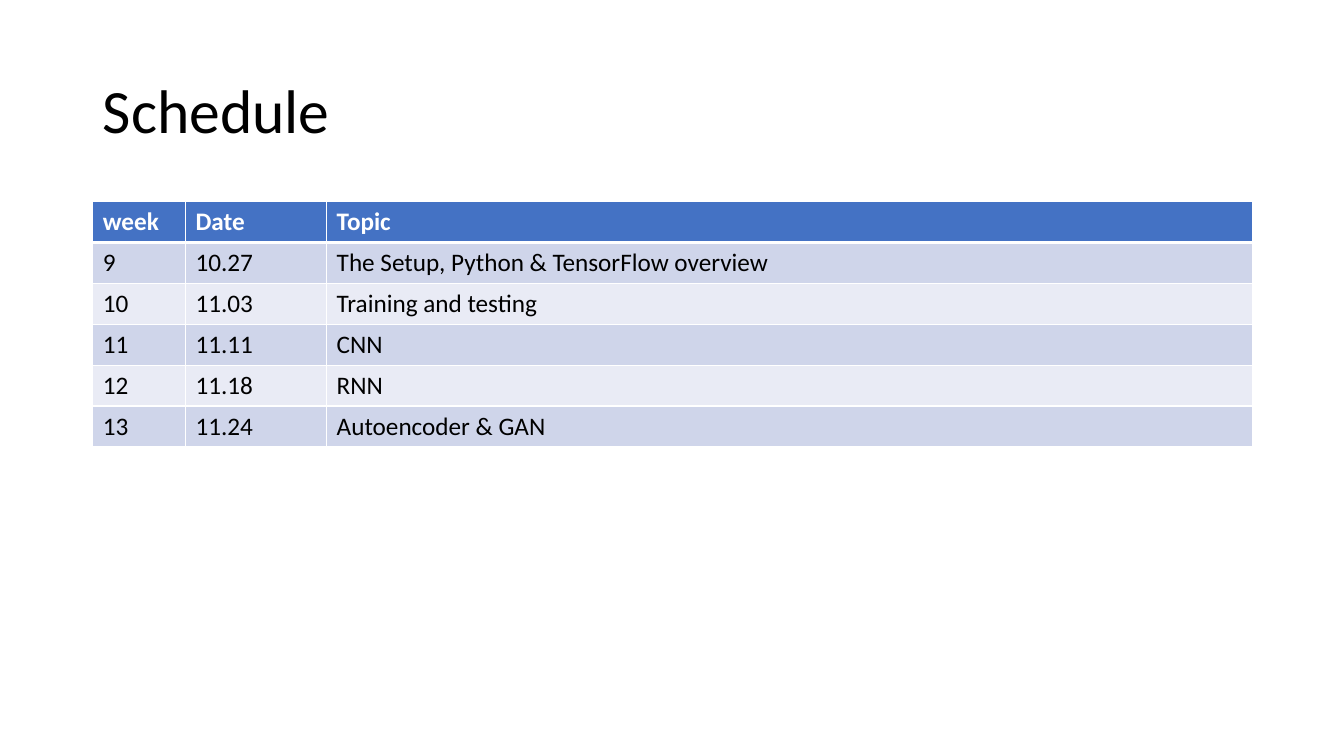
from dataclasses import dataclass

from lxml.etree import SubElement
from pptx import Presentation
from pptx.dml.color import RGBColor
from pptx.enum.text import MSO_ANCHOR, PP_ALIGN
from pptx.oxml.ns import qn
from pptx.slide import Slide
from pptx.table import _Cell
from pptx.util import Inches, Pt


@dataclass(frozen=True)
class Theme:
    font: str = "Calibri"
    title_size: int = 44
    body_size: int = 18
    text: str = "000000"
    light: str = "FFFFFF"
    header: str = "4472C4"
    bands: tuple[str, str] = ("CFD5EA", "E9EBF5")
    line: float = 1
    header_line: float = 3


@dataclass(frozen=True)
class Session:
    week: str
    date: str
    topic: str


THEME = Theme()
LEFT, WIDTH = 0.92, 11.5
TABLE_TOP, ROW_HEIGHT = 2, 0.405
COLUMN_WIDTHS = (0.92, 1.4, 9.18)
SCHEDULE = (
    Session("week", "Date", "Topic"),
    Session("9", "10.27", "The Setup, Python & TensorFlow overview"),
    Session("10", "11.03", "Training and testing"),
    Session("11", "11.11", "CNN"),
    Session("12", "11.18", "RNN"),
    Session("13", "11.24", "Autoencoder & GAN"),
)


def add_title(page: Slide, text: str) -> None:
    title = page.shapes.title
    title.left, title.top = Inches(LEFT), Inches(0.4)
    title.width, title.height = Inches(WIDTH), Inches(1.45)
    frame = title.text_frame
    frame.text = text
    frame.word_wrap = True
    frame.vertical_anchor = MSO_ANCHOR.MIDDLE
    para = frame.paragraphs[0]
    para.alignment = PP_ALIGN.LEFT
    para.line_spacing = 0.9
    para.font.name = THEME.font
    para.font.size = Pt(THEME.title_size)
    para.font.color.rgb = RGBColor.from_string(THEME.text)


def set_borders(cell: _Cell, top: float, bottom: float) -> None:
    """Borders must come before the fill in the cell properties."""
    properties = cell._tc.get_or_add_tcPr()
    widths = {"a:lnL": THEME.line, "a:lnR": THEME.line, "a:lnT": top, "a:lnB": bottom}
    for tag, width in widths.items():
        line = SubElement(properties, qn(tag), w=str(Pt(width)))
        fill = SubElement(line, qn("a:solidFill"))
        SubElement(fill, qn("a:srgbClr"), val=THEME.light)


def fill_cell(cell: _Cell, text: str, row: int) -> None:
    is_header = row == 0
    set_borders(
        cell,
        top=THEME.header_line if row == 1 else THEME.line,
        bottom=THEME.header_line if is_header else THEME.line,
    )
    cell.fill.solid()
    color = THEME.header if is_header else THEME.bands[(row - 1) % 2]
    cell.fill.fore_color.rgb = RGBColor.from_string(color)
    cell.text = text
    font = cell.text_frame.paragraphs[0].font
    font.name = THEME.font
    font.size = Pt(THEME.body_size)
    font.bold = is_header
    font.color.rgb = RGBColor.from_string(THEME.light if is_header else THEME.text)


def add_schedule(page: Slide, sessions: tuple[Session, ...]) -> None:
    table = page.shapes.add_table(
        len(sessions), len(COLUMN_WIDTHS), Inches(LEFT), Inches(TABLE_TOP),
        Inches(WIDTH), Inches(ROW_HEIGHT * len(sessions)),
    ).table
    for column, width in zip(table.columns, COLUMN_WIDTHS):
        column.width = Inches(width)
    for row, session in enumerate(sessions):
        for column, text in enumerate((session.week, session.date, session.topic)):
            fill_cell(table.cell(row, column), text, row)


def main() -> None:
    deck = Presentation()
    deck.slide_width, deck.slide_height = Inches(13.33), Inches(7.5)
    page = deck.slides.add_slide(deck.slide_layouts[5])  # title only

    # Heading
    add_title(page, "Schedule")

    # Weekly sessions
    add_schedule(page, SCHEDULE)

    deck.save("out.pptx")


if __name__ == "__main__":
    main()
